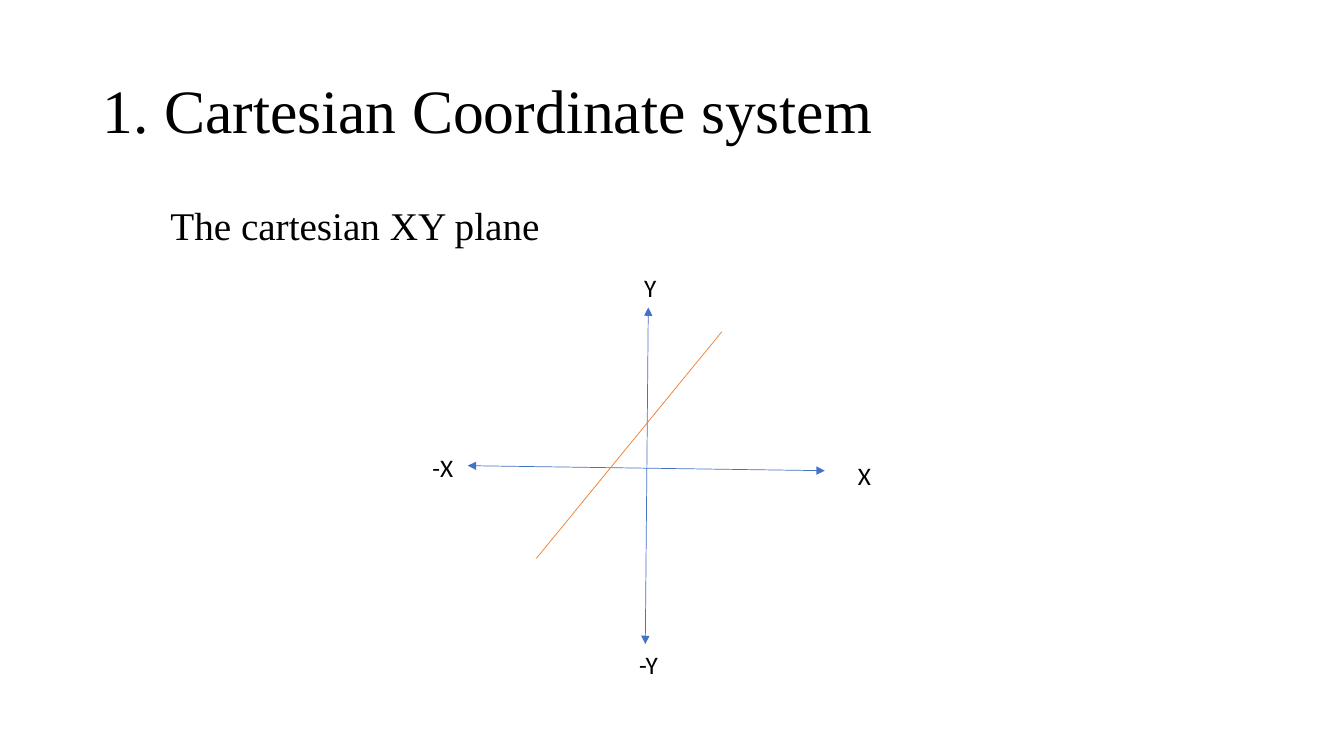
from dataclasses import dataclass

from lxml.etree import SubElement
from pptx import Presentation
from pptx.dml.color import RGBColor
from pptx.enum.shapes import MSO_CONNECTOR
from pptx.enum.text import MSO_ANCHOR
from pptx.oxml.ns import qn
from pptx.slide import Slide
from pptx.util import Inches, Pt

BLACK = "000000"
BLUE = "4472C4"
ORANGE = "ED7D31"


@dataclass
class Label:
    text: str
    left: float
    top: float
    width: float
    height: float = 0.4
    size: float = 18
    font: str = "Calibri"
    anchor: MSO_ANCHOR = MSO_ANCHOR.TOP
    indent: float = 0.1
    line_spacing: float = 1.0
    space_before: float = 0


@dataclass
class Line:
    start: tuple[float, float]
    end: tuple[float, float]
    color: str
    arrows: bool = False


LABELS = [
    Label("1. Cartesian Coordinate system", 0.92, 0.4, 11.5, 1.45, 44,
          "Times New Roman", MSO_ANCHOR.MIDDLE, line_spacing=0.9),
    Label("The cartesian XY plane", 0.92, 2, 11.5, 4.76, 28,
          "Times New Roman", indent=0.77, line_spacing=0.9, space_before=10),
    Label("X", 8.41, 4.52, 1.76),
    Label("Y", 6.29, 2.65, 3),
    Label("-Y", 6.24, 6.39, 3),
    Label("-X", 4.19, 4.44, 1.76),
]

LINES = [
    Line((6.43, 3.05), (6.4, 6.39), BLUE, arrows=True),
    Line((4.64, 4.62), (8.18, 4.67), BLUE, arrows=True),
    Line((7.16, 3.29), (5.32, 5.54), ORANGE),
]


def rgb(color: str) -> RGBColor:
    return RGBColor.from_string(color)


def draw_label(page: Slide, label: Label) -> None:
    box = page.shapes.add_textbox(
        Inches(label.left), Inches(label.top), Inches(label.width), Inches(label.height)
    )
    frame = box.text_frame
    frame.text = label.text
    frame.word_wrap = True
    frame.vertical_anchor = label.anchor
    frame.margin_left = Inches(label.indent)
    para = frame.paragraphs[0]
    para.line_spacing = label.line_spacing
    para.space_before = Pt(label.space_before)
    span = para.runs[0]
    span.font.name = label.font
    span.font.size = Pt(label.size)
    span.font.color.rgb = rgb(BLACK)


def draw_line(page: Slide, line: Line) -> None:
    connector = page.shapes.add_connector(
        MSO_CONNECTOR.STRAIGHT, *map(Inches, line.start + line.end)
    )
    connector.line.color.rgb = rgb(line.color)
    connector.line.width = Pt(0.5)
    properties = connector._element.spPr
    if line.arrows:
        outline = properties.find(qn("a:ln"))
        for tip in ("a:headEnd", "a:tailEnd"):
            SubElement(outline, qn(tip), type="triangle")
    SubElement(properties, qn("a:effectLst"))


def main() -> None:
    deck = Presentation()
    deck.slide_width = Inches(13.33)
    deck.slide_height = Inches(7.5)
    page = deck.slides.add_slide(deck.slide_layouts[6])
    for line in LINES:
        draw_line(page, line)
    for label in LABELS:
        draw_label(page, label)
    deck.save("out.pptx")


if __name__ == "__main__":
    main()
